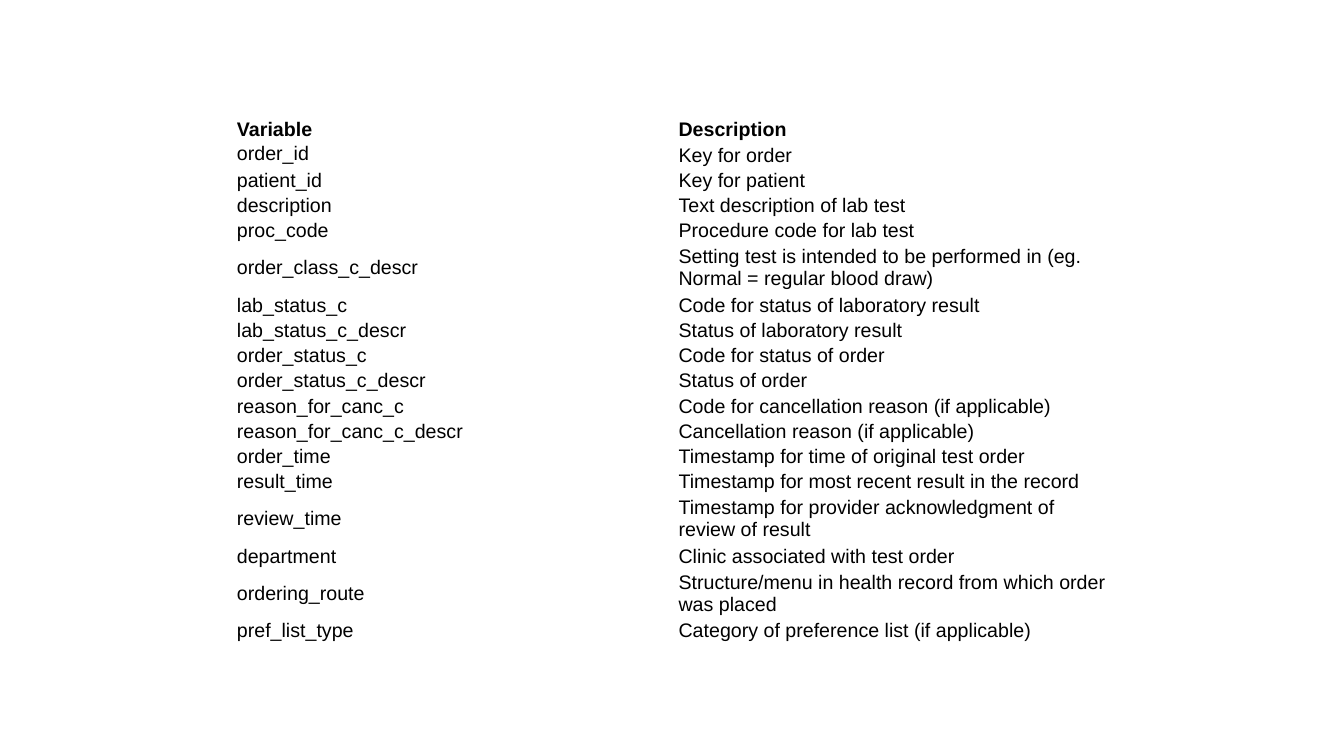
from pptx import Presentation
from pptx.dml.color import RGBColor
from pptx.enum.text import MSO_ANCHOR
from pptx.util import Inches, Pt

BLACK = RGBColor(0x00, 0x00, 0x00)
HEADER_HEIGHT, LINE_HEIGHT, TWO_LINE_HEIGHT = 0.26, 0.25, 0.49
COLUMN_WIDTHS = (4.38, 4.28)
LONGEST_LINE = 50  # characters that fit on one line of the description

VARIABLES = [
    ("Variable", "Description"),
    ("order_id", "Key for order"),
    ("patient_id", "Key for patient"),
    ("description", "Text description of lab test"),
    ("proc_code", "Procedure code for lab test"),
    ("order_class_c_descr",
     "Setting test is intended to be performed in (eg. Normal = regular blood draw)"),
    ("lab_status_c", "Code for status of laboratory result"),
    ("lab_status_c_descr", "Status of laboratory result"),
    ("order_status_c", "Code for status of order"),
    ("order_status_c_descr", "Status of order"),
    ("reason_for_canc_c", "Code for cancellation reason (if applicable)"),
    ("reason_for_canc_c_descr", "Cancellation reason (if applicable)"),
    ("order_time", "Timestamp for time of original test order"),
    ("result_time", "Timestamp for most recent result in the record"),
    ("review_time", "Timestamp for provider acknowledgment of review of result"),
    ("department", "Clinic associated with test order"),
    ("ordering_route", "Structure/menu in health record from which order was placed"),
    ("pref_list_type", "Category of preference list (if applicable)"),
]

CELL_FORMAT = {
    "margin_left": Inches(0.01),
    "margin_top": Inches(0.01),
    "margin_right": Inches(0.01),
    "margin_bottom": Inches(0),
    "vertical_anchor": MSO_ANCHOR.MIDDLE,
}
FONT_FORMAT = {"name": "Arial", "size": Pt(14)}

# Slide
deck = Presentation()
deck.slide_width, deck.slide_height = Inches(13.33), Inches(7.5)
page = deck.slides.add_slide(deck.slide_layouts[6])

# Table frame
table = page.shapes.add_table(
    len(VARIABLES), len(COLUMN_WIDTHS),
    Inches(2.34), Inches(1.15), Inches(8.66), Inches(5.2)).table
table.first_row = table.horz_banding = False
for column, width in zip(table.columns, COLUMN_WIDTHS):
    column.width = Inches(width)

# Rows: a bold header, then one variable each
for row_number, texts in enumerate(VARIABLES):
    is_header = row_number == 0
    if is_header:
        height = HEADER_HEIGHT
    else:
        height = TWO_LINE_HEIGHT if len(texts[1]) > LONGEST_LINE else LINE_HEIGHT
    table.rows[row_number].height = Inches(height)

    for cell, text in zip(table.rows[row_number].cells, texts):
        cell.fill.background()
        for name, value in CELL_FORMAT.items():
            setattr(cell, name, value)
        span = cell.text_frame.paragraphs[0].add_run()
        span.text = text
        for name, value in FONT_FORMAT.items():
            setattr(span.font, name, value)
        span.font.bold = is_header
        span.font.color.rgb = BLACK

# The first variable name sits at the top of its cell
table.cell(1, 0).vertical_anchor = MSO_ANCHOR.TOP

deck.save("out.pptx")
